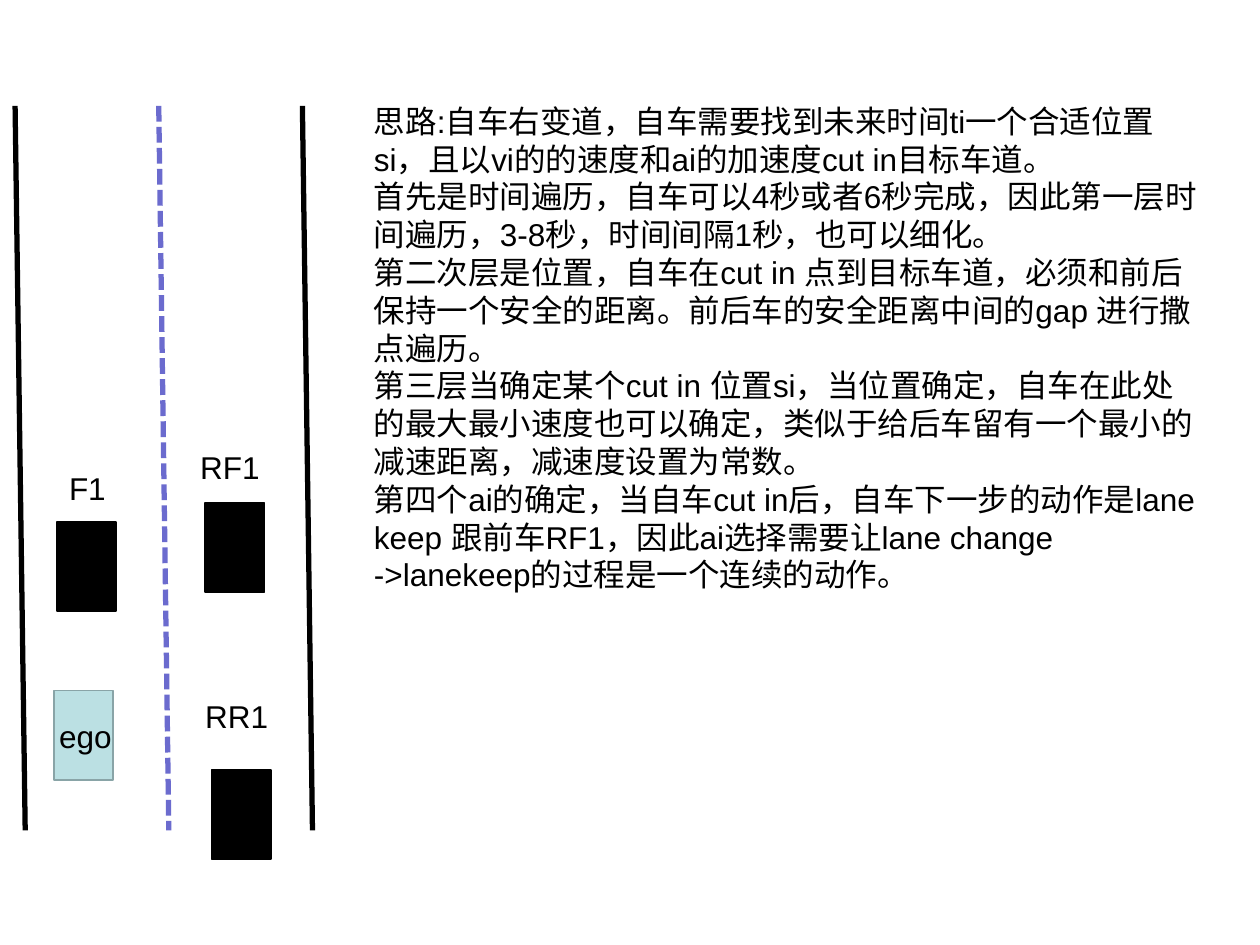
from typing import NamedTuple

from lxml.etree import SubElement
from pptx import Presentation
from pptx.dml.color import RGBColor
from pptx.enum.dml import MSO_LINE_DASH_STYLE as Dash
from pptx.enum.shapes import MSO_CONNECTOR as Connector, MSO_SHAPE as Shape
from pptx.enum.text import MSO_AUTO_SIZE as AutoSize
from pptx.oxml.ns import qn
from pptx.slide import Slide
from pptx.util import Inches, Pt

BLACK = RGBColor(0x00, 0x00, 0x00)
EGO_FILL = RGBColor(0xBB, 0xE0, 0xE3)
EGO_EDGE = RGBColor(0x89, 0xA4, 0xA7)
DIVIDER = RGBColor(0x6B, 0x6B, 0xCE)

LANE_LEFT, LANE_WIDTH, LANE_SLANT = 0.12, 1.14, 0.08
LANE_TOP, LANE_BOTTOM = 0.84, 6.59
CAR_WIDTH, CAR_HEIGHT = 0.47, 0.71


class LaneLine(NamedTuple):
    """Colour and dash of one lane marking."""
    color: RGBColor
    dash: Dash | None = None


class Car(NamedTuple):
    """Top left corner and colours of one car."""
    left: float
    top: float
    fill: RGBColor = BLACK
    edge: RGBColor = BLACK


class Caption(NamedTuple):
    """Box and paragraphs of one text."""
    left: float
    top: float
    width: float
    height: float
    paragraphs: tuple[str, ...]


LANE_LINES = (LaneLine(BLACK), LaneLine(DIVIDER, Dash.SQUARE_DOT), LaneLine(BLACK))

CARS = (
    Car(0.43, 5.48, EGO_FILL, EGO_EDGE),
    Car(0.45, 4.14),
    Car(1.63, 3.99),
    Car(1.68, 6.11),
)

CAPTIONS = (
    Caption(2.87, 0.76, 6.76, 5.2, (
        "思路:自车右变道，自车需要找到未来时间ti一个合适位置si，且以vi的的速度和ai的加速度cut in目标车道。",
        "首先是时间遍历，自车可以4秒或者6秒完成，因此第一层时间遍历，3-8秒，时间间隔1秒，也可以细化。",
        "第二次层是位置，自车在cut in 点到目标车道，必须和前后保持一个安全的距离。"
        "前后车的安全距离中间的gap 进行撒点遍历。",
        "第三层当确定某个cut in 位置si，当位置确定，自车在此处的最大最小速度也可以确定，"
        "类似于给后车留有一个最小的减速距离，减速度设置为常数。",
        "第四个ai的确定，当自车cut in后，自车下一步的动作是lane keep 跟前车RF1，"
        "因此ai选择需要让lane change ->lanekeep的过程是一个连续的动作。",
    )),
    Caption(0.45, 3.67, 0.7, 0.4, ("F1",)),
    Caption(1.49, 3.51, 0.7, 0.4, ("RF1",)),
    Caption(1.53, 5.48, 0.7, 0.4, ("RR1",)),
    Caption(0.37, 5.64, 0.78, 0.4, ("ego",)),
)


def draw_lane_line(slide: Slide, index: int, marking: LaneLine) -> None:
    """Draw the lane marking at its place in the row."""
    x = LANE_LEFT + index * LANE_WIDTH
    line = slide.shapes.add_connector(
        Connector.STRAIGHT, Inches(x), Inches(LANE_TOP),
        Inches(x + LANE_SLANT), Inches(LANE_BOTTOM))
    line.line.color.rgb = marking.color
    line.line.width = Pt(3)
    if marking.dash is not None:
        line.line.dash_style = marking.dash
    SubElement(line._element.spPr, qn("a:effectLst"))


def draw_car(slide: Slide, car: Car) -> None:
    """Draw a car as a plain rectangle."""
    body = slide.shapes.add_shape(
        Shape.RECTANGLE, Inches(car.left), Inches(car.top),
        Inches(CAR_WIDTH), Inches(CAR_HEIGHT))
    body.shadow.inherit = False
    body.fill.solid()
    body.fill.fore_color.rgb = car.fill
    body.line.color.rgb = car.edge
    body.line.width = Pt(1)


def write_caption(slide: Slide, caption: Caption) -> None:
    """Write a caption with one paragraph per entry."""
    frame = slide.shapes.add_textbox(
        Inches(caption.left), Inches(caption.top),
        Inches(caption.width), Inches(caption.height)).text_frame
    frame.word_wrap = True
    frame.auto_size = AutoSize.SHAPE_TO_FIT_TEXT
    frame.text = "\n".join(caption.paragraphs)
    for paragraph in frame.paragraphs:
        paragraph.font.name = "Arial"
        paragraph.font.size = Pt(18)
        paragraph.font.color.rgb = BLACK


def main() -> None:
    """Build and save the lane change slide."""
    deck = Presentation()
    deck.slide_width, deck.slide_height = Inches(10), Inches(7.5)
    slide = deck.slides.add_slide(deck.slide_layouts[6])
    for index, marking in enumerate(LANE_LINES):
        draw_lane_line(slide, index, marking)
    for car in CARS:
        draw_car(slide, car)
    for caption in CAPTIONS:
        write_caption(slide, caption)
    deck.save("out.pptx")


main()
